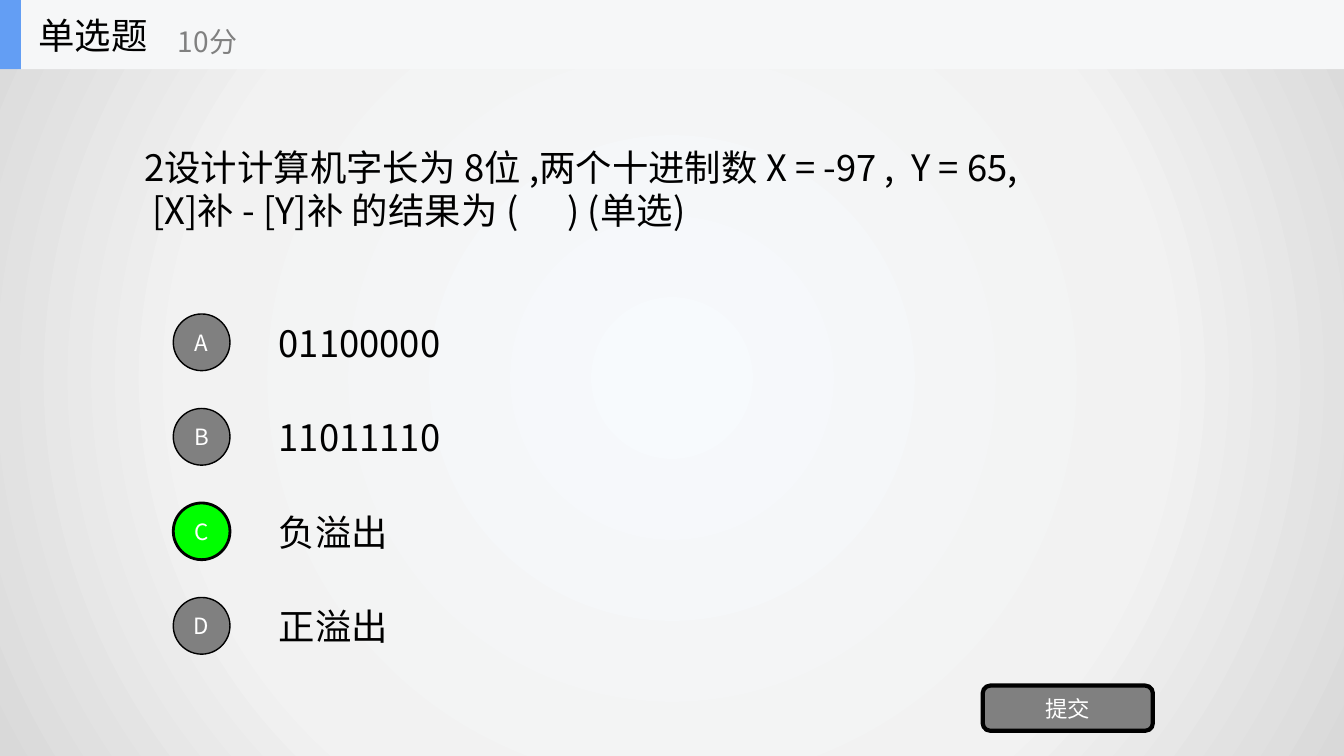
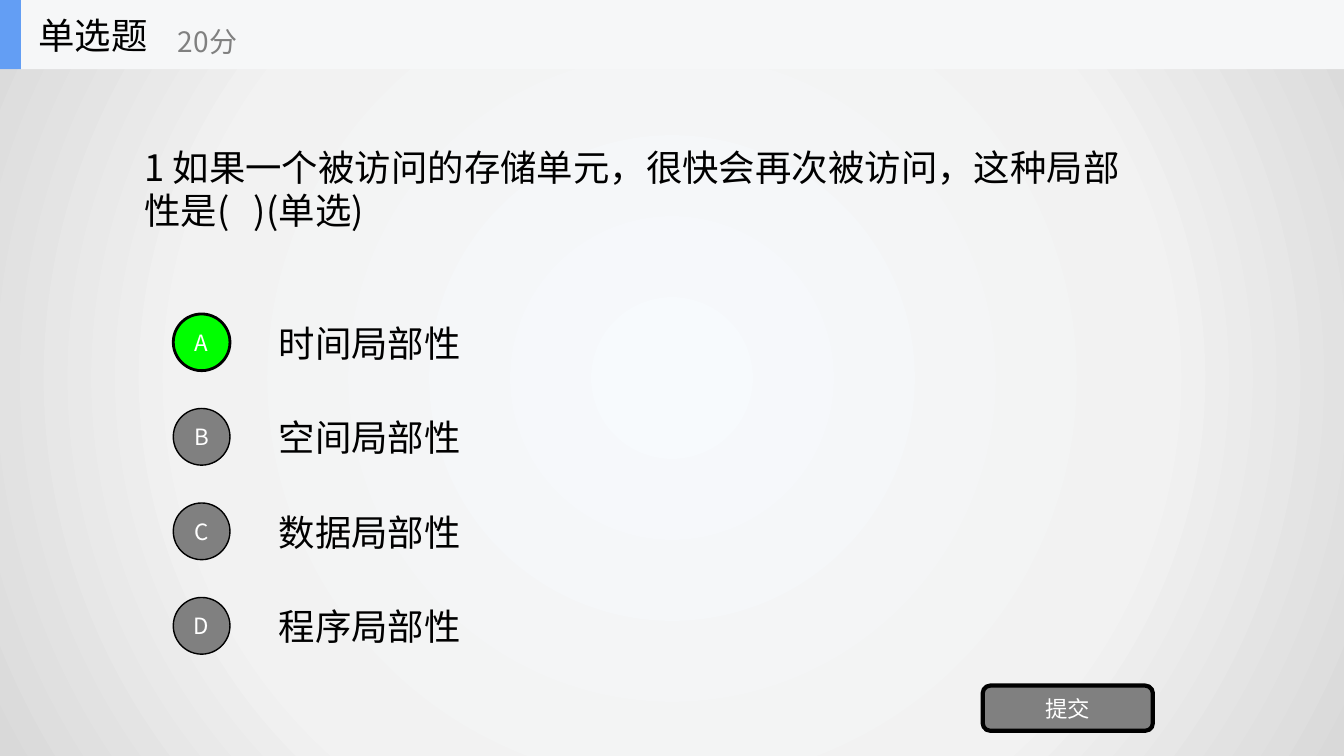
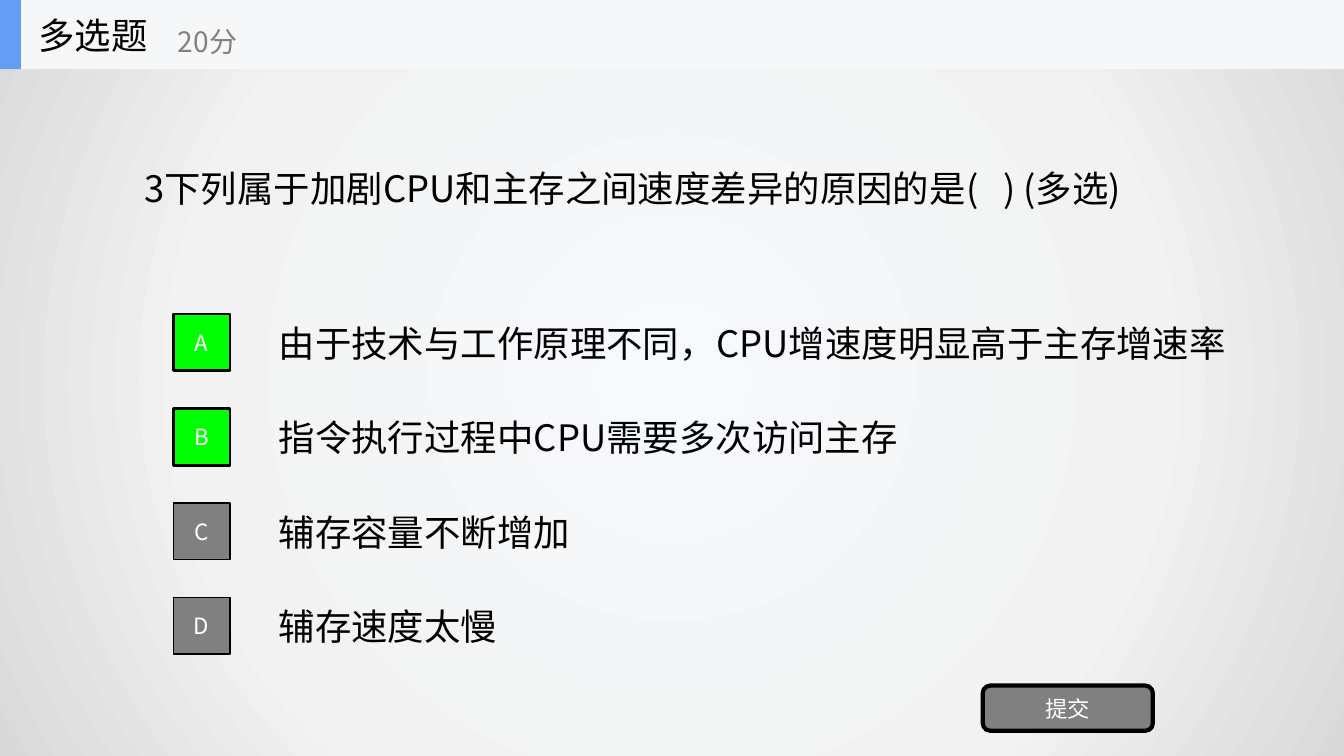
from lxml.etree import SubElement
from pptx import Presentation
from pptx.dml.color import RGBColor
from pptx.enum.shapes import MSO_SHAPE
from pptx.enum.text import MSO_ANCHOR, MSO_AUTO_SIZE, PP_ALIGN
from pptx.oxml import parse_xml
from pptx.oxml.ns import nsdecls, qn
from pptx.util import Pt

PX = 9525
FONT = "Noto Sans CJK SC"
BLACK, GREY, WHITE, GREEN = "000000", "808080", "FFFFFF", "00FF00"
BAND, ACCENT = "F6F7F8", "639EF4"
OPTION_TOP, OPTION_STEP = 299, 90
QUESTION_MIDDLE = 179


def write(shape, text, size, color, align=PP_ALIGN.LEFT):
    frame = shape.text_frame
    frame.text = text
    frame.word_wrap = True
    frame.auto_size = MSO_AUTO_SIZE.NONE
    frame.vertical_anchor = MSO_ANCHOR.MIDDLE
    for paragraph in frame.paragraphs:
        paragraph.alignment = align
        for run in paragraph.runs:
            run.font.size = Pt(size)
            run.font.name = FONT
            run.font.color.rgb = RGBColor.from_string(color)
            SubElement(run.font._element, qn("a:ea"), typeface=FONT)


def draw(slide, kind, box, fill, border=0):
    shape = slide.shapes.add_shape(kind, *[n * PX for n in box])
    shape.shadow.inherit = False
    shape.fill.solid()
    shape.fill.fore_color.rgb = RGBColor.from_string(fill)
    if border:
        shape.line.color.rgb = RGBColor.from_string(BLACK)
        shape.line.width = Pt(border)
    else:
        shape.line.fill.background()
    return shape


questions = [
    ("单选题", "10分",
     "2设计计算机字长为 8位 ,两个十进制数 X = -97 ,  Y = 65,\n [X]补 - [Y]补 的结果为 (      ) (单选)",
     1013, 2, MSO_SHAPE.OVAL, "C",
     [("01100000", 192), ("11011110", 192), ("负溢出", 133), ("正溢出", 133)]),
    ("单选题", "20分",
     "1 如果一个被访问的存储单元，很快会再次被访问，这种局部性是(   )(单选)",
     957, 2, MSO_SHAPE.OVAL, "A",
     [("时间局部性", 203), ("空间局部性", 203), ("数据局部性", 203), ("程序局部性", 203)]),
    ("多选题", "20分",
     "3下列属于加剧CPU和主存之间速度差异的原因的是(   ) (多选)",
     1004, 1, MSO_SHAPE.RECTANGLE, "AB",
     [("由于技术与工作原理不同，CPU增速度明显高于主存增速率", 966),
      ("指令执行过程中CPU需要多次访问主存", 620),
      ("辅存容量不断增加", 307), ("辅存速度太慢", 237)]),
]

deck = Presentation()
deck.slide_width, deck.slide_height = 1280 * PX, 720 * PX
layout = deck.slide_layouts[5]

deck.slide_master.background.fill.solid()
backdrop = deck.slide_master.element.find(".//" + qn("p:bgPr"))
stops = "".join(
    f'<a:gs pos="{position}000"><a:srgbClr val="{color}"/></a:gs>'
    for position, color in [(0, "F7FAFD"), (63, "F2F2F2"), (100, "D9D9D9")])
backdrop.replace(backdrop[0], parse_xml(
    f'<a:gradFill {nsdecls("a")} rotWithShape="1"><a:gsLst>{stops}</a:gsLst>'
    '<a:path path="circle"><a:fillToRect l="50000" t="50000" r="50000" b="50000"/></a:path>'
    '</a:gradFill>'))

heading = layout.placeholders[0]
heading.left, heading.top, heading.width, heading.height = 27 * PX, 0, 200 * PX, 66 * PX

for number, (category, points, question, width, lines, marker_kind, answers, options) in enumerate(questions):
    slide = deck.slides.add_slide(layout)
    if number == 0:
        for band_width, color in [(1280, BAND), (20, ACCENT)]:
            band = draw(slide, MSO_SHAPE.RECTANGLE, (0, 0, band_width, 66), color)
            layout.shapes.element.append(band.element)

    write(slide.shapes.title, category, 26, BLACK)
    score = slide.shapes.add_textbox(160 * PX, 12 * PX, 240 * PX, 54 * PX)
    write(score, points, 20, GREY)

    height = 11 + 41 * lines
    stem = slide.shapes.add_textbox(
        128 * PX, (QUESTION_MIDDLE - height // 2) * PX, width * PX, height * PX)
    write(stem, question, 26, BLACK)

    for row, (letter, (option, option_width)) in enumerate(zip("ABCD", options)):
        top = OPTION_TOP + row * OPTION_STEP
        choice = slide.shapes.add_textbox(256 * PX, (top + 2) * PX, option_width * PX, 51 * PX)
        write(choice, option, 26, BLACK)
        correct = letter in answers
        marker = draw(slide, marker_kind, (165, top, 54, 54),
                      GREEN if correct else GREY, 2 if correct else 1)
        write(marker, letter, 16, WHITE, PP_ALIGN.CENTER)

    submit = draw(slide, MSO_SHAPE.ROUNDED_RECTANGLE, (936, 653, 162, 43), GREY, 3)
    write(submit, "提交", 16, WHITE, PP_ALIGN.CENTER)

deck.save("out.pptx")
